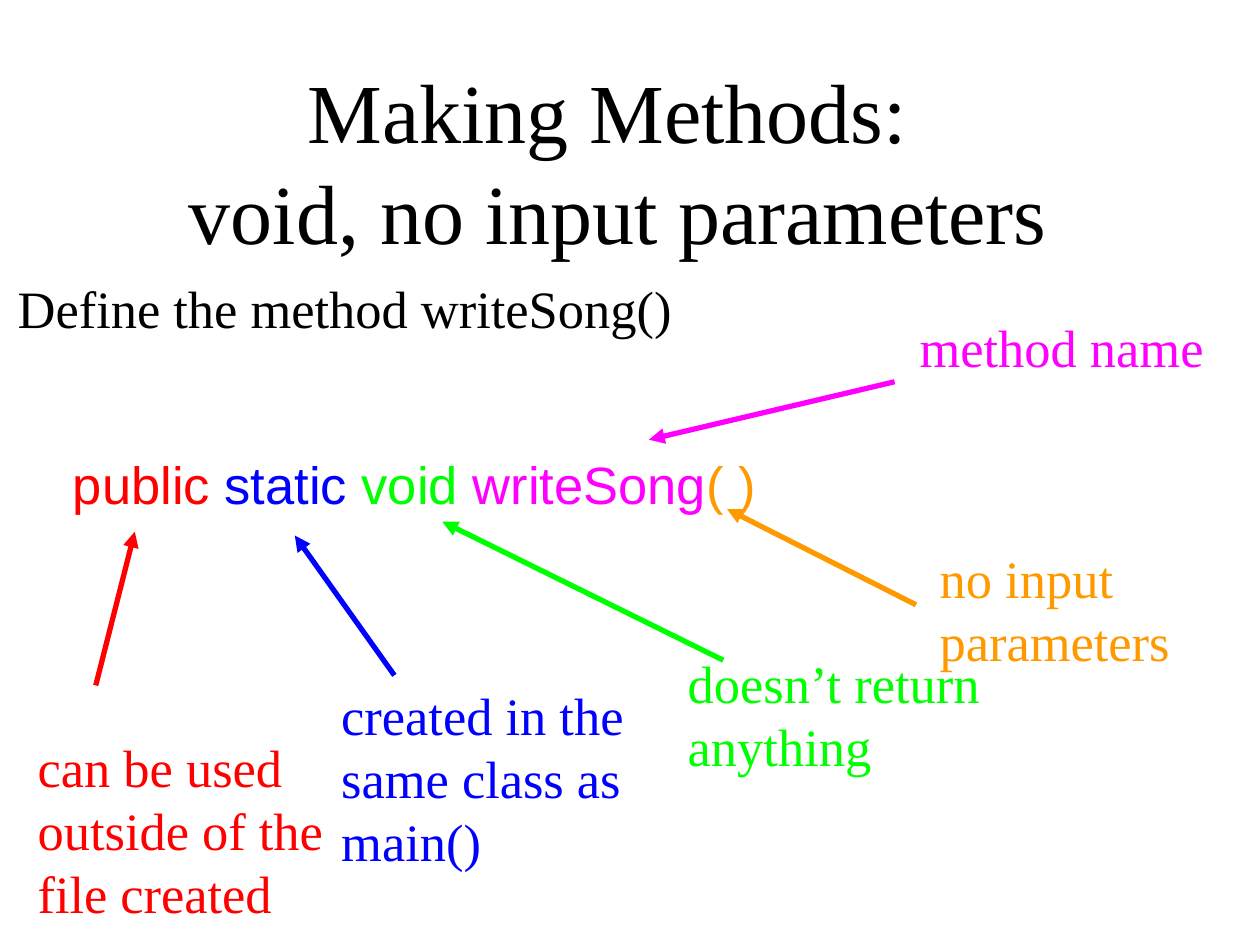
from lxml import etree
from pptx import Presentation
from pptx.dml.color import RGBColor
from pptx.enum import shapes, text
from pptx.oxml import ns
from pptx.util import Inches, Pt

BLACK = RGBColor(0, 0, 0)
RED = RGBColor(255, 0, 0)
BLUE = RGBColor(0, 0, 255)
GREEN = RGBColor(0, 255, 0)
PINK = RGBColor(255, 0, 255)
GOLD = RGBColor(255, 153, 0)
SERIF = "Times New Roman"
CODE = [("public ", RED), ("static ", BLUE), ("void ", GREEN),
        ("writeSong", PINK), ("( )", GOLD)]
NOTES = [
    (["can be used outside of the", "file created"], RED,
     (0.2, 5.73, 3.38, 0.94), (0.76, 5.44, 1.07, 4.22)),
    (["created in the same class as main()"], BLUE,
     (2.61, 5.32, 3.38, 0.94), (3.13, 5.36, 2.34, 4.25)),
    (["doesn’t return", "anything"], GREEN,
     (5.36, 5.07, 3.38, 0.94), (5.74, 5.24, 3.51, 4.14)),
    (["method name"], PINK,
     (7.2, 2.4, 2.8, 0.94), (7.1, 3.03, 5.15, 3.49)),
    (["no input parameters"], GOLD,
     (7.36, 4.23, 2.23, 0.94), (7.27, 4.8, 5.77, 4.04)),
]


def place(shape, box):
    """Move a shape to a box given in inches."""
    for key, val in zip(("left", "top", "width", "height"), box):
        setattr(shape, key, Inches(val))


def fill(shape, lines, size=30, face=SERIF, align=text.PP_ALIGN.LEFT):
    """Write lines of (words, colour) runs into a shape."""
    frame = shape.text_frame
    look = {"word_wrap": True, "auto_size": text.MSO_AUTO_SIZE.NONE,
            "vertical_anchor": text.MSO_ANCHOR.TOP}
    look.update({f"margin_{side}": Inches(0.1)
                 for side in ("left", "top", "right", "bottom")})
    for key, val in look.items():
        setattr(frame, key, val)
    for num, line in enumerate(lines):
        para = frame.add_paragraph() if num else frame.paragraphs[0]
        form = {"alignment": align, "line_spacing": Pt(size * 1.2),
                "space_before": Pt(0), "space_after": Pt(0)}
        for key, val in form.items():
            setattr(para, key, val)
        for words, tint in line:
            run = para.add_run()
            run.text = words
            for key, val in {"name": face, "size": Pt(size)}.items():
                setattr(run.font, key, val)
            run.font.color.rgb = tint


def plain(shape):
    """Take bullets and indents off a body placeholder."""
    for para in shape.text_frame.paragraphs:
        prop = para._p.get_or_add_pPr()
        prop.set("marL", "0")
        prop.set("indent", "0")
        etree.SubElement(prop, ns.qn("a:buNone"))


def label(slide, box, lines, **form):
    """Add a text box."""
    shape = slide.shapes.add_textbox(*map(Inches, box))
    fill(shape, lines, **form)


def arrow(slide, ends, tint):
    """Add an arrow between two points."""
    link = slide.shapes.add_connector(
        shapes.MSO_CONNECTOR.STRAIGHT, *map(Inches, ends))
    link.line.color.rgb = tint
    link.line.width = Pt(3)
    tip = etree.SubElement(link.line._get_or_add_ln(), ns.qn("a:tailEnd"))
    tip.set("type", "triangle")
    etree.SubElement(link._element.spPr, ns.qn("a:effectLst"))


def main():
    """Build and save the slide."""
    deck = Presentation()
    deck.slide_width, deck.slide_height = Inches(10), Inches(7.5)
    slide = deck.slides.add_slide(deck.slide_layouts[1])
    title, body = slide.placeholders
    place(title, (0, 0.37, 9.81, 1.94))
    fill(title, [[("Making Methods: ", BLACK)],
                 [("void, no input parameters", BLACK)]],
         size=48, align=text.PP_ALIGN.CENTER)
    place(body, (0.04, 2.09, 9.13, 0.79))
    fill(body, [[("Define the method writeSong()", BLACK)]])
    plain(body)
    label(slide, (0.48, 3.49, 9.35, 0.94), [CODE], face="Arial")
    for lines, tint, box, ends in NOTES:
        arrow(slide, ends, tint)
        label(slide, box, [[(line, tint)] for line in lines])
    deck.save("out.pptx")


if __name__ == "__main__":
    main()
